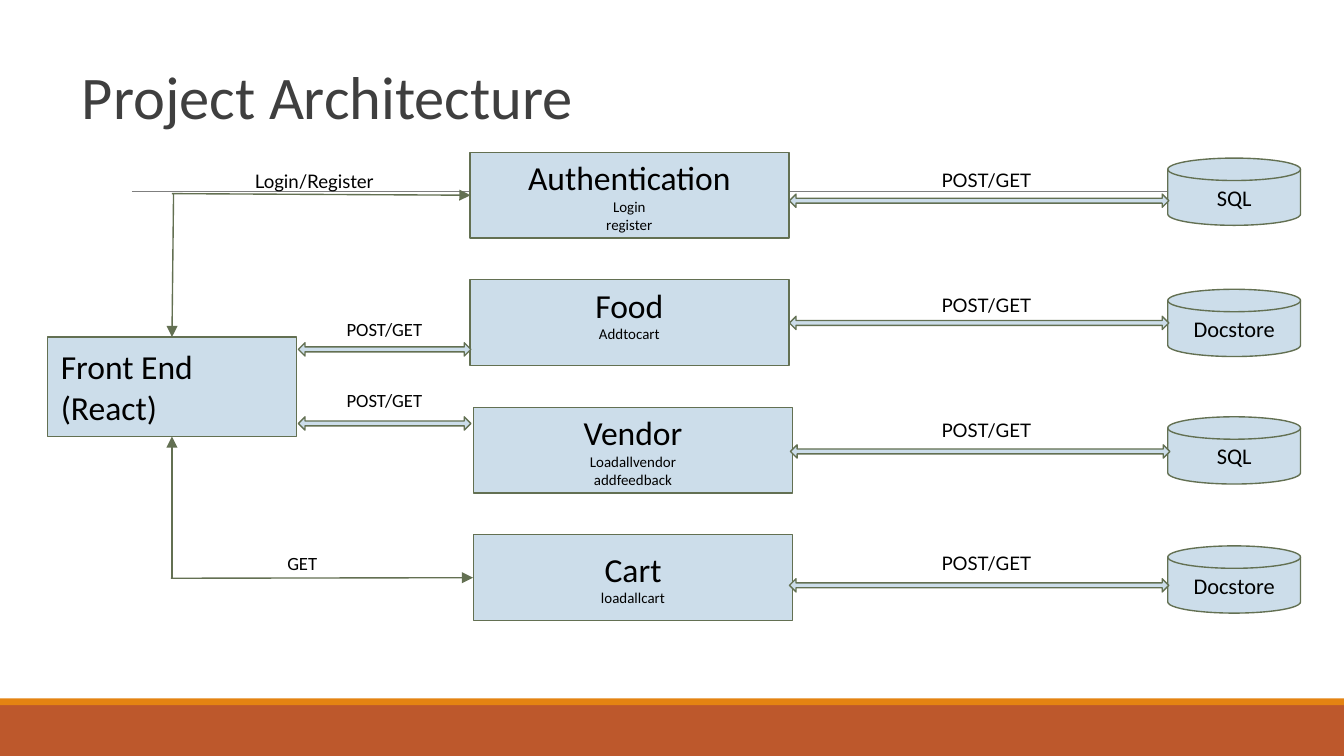
from typing import NamedTuple

from lxml import etree
from pptx import Presentation
from pptx.dml.color import RGBColor
from pptx.enum import shapes, text
from pptx.oxml import ns
from pptx.util import Cm, Pt

BLACK = RGBColor(0x00, 0x00, 0x00)
TITLE_GREY = RGBColor(0x3F, 0x3F, 0x3F)
RULE_GREY = RGBColor(0x7F, 0x7F, 0x7F)
PALE_BLUE = RGBColor(0xCC, 0xDD, 0xEA)
OLIVE = RGBColor(0x63, 0x70, 0x52)
RUST = RGBColor(0xBD, 0x58, 0x2C)
ORANGE = RGBColor(0xE4, 0x83, 0x12)

SHAPE = shapes.MSO_SHAPE
LEFT, CENTER = text.PP_ALIGN.LEFT, text.PP_ALIGN.CENTER
TOP, MIDDLE = text.MSO_ANCHOR.TOP, text.MSO_ANCHOR.MIDDLE
INSET = 0.25


class Box(NamedTuple):
    left: float
    top: float
    width: float
    height: float


class Line(NamedTuple):
    words: str
    size: float


class Service(NamedTuple):
    name: str
    calls: list[str]
    left: float
    database: str
    database_top: float
    arrow_left: float
    arrow_top: float
    label_top: float
    bottom_inset: float = 0


class Label(NamedTuple):
    words: str
    box: Box
    font: str
    align: text.PP_ALIGN = CENTER


class Link(NamedTuple):
    x1: float
    y1: float
    x2: float
    y2: float


SERVICES = [
    Service("Authentication", ["Login", "register"], 8.88, "SQL", 2.99, 14.92, 3.67, 2.97),
    Service("Food", ["Addtocart"], 8.88, "Docstore", 5.47, 14.92, 5.98, 5.34, 0.34),
    Service("Vendor", ["Loadallvendor", "addfeedback"], 8.95, "SQL", 7.88, 14.94, 8.41, 7.7),
    Service("Cart", ["loadallcart"], 8.95, "Docstore", 10.32, 14.92, 10.94, 10.21),
]
SERVICE_TOP, SERVICE_PITCH = 2.88, 2.41

LINKS = [
    Link(3.25, 3.66, 8.89, 3.69),
    Link(3.25, 10.92, 3.25, 8.25),
    Link(3.28, 3.66, 3.25, 6.37),
    Link(3.23, 10.93, 8.94, 10.92),
]

FRONT_LABELS = [
    Label("Login/Register", Box(2.51, 3, 6.86, 0.94), "Lato"),
    Label("POST/GET", Box(5.64, 5.79, 3.25, 0.94), "Calibri"),
    Label("POST/GET", Box(5.64, 7.14, 3.25, 0.94), "Calibri"),
    Label("GET", Box(5.18, 10.21, 1.52, 0.94), "Calibri", LEFT),
]


def write(tf, lines: list[Line], font: str = "Calibri", color: RGBColor = BLACK,
          align: text.PP_ALIGN = CENTER, anchor: text.MSO_ANCHOR = MIDDLE,
          top: float = INSET, bottom: float = INSET) -> None:
    """Fill a text frame with one paragraph per line."""
    tf.word_wrap = True
    tf.vertical_anchor = anchor
    tf.margin_left = tf.margin_right = Cm(INSET)
    tf.margin_top, tf.margin_bottom = Cm(top), Cm(bottom)
    for i, line in enumerate(lines):
        p = tf.add_paragraph() if i else tf.paragraphs[0]
        p.text = line.words
        p.alignment = align
        p.font.name, p.font.size = font, Pt(line.size)
        p.font.color.rgb = color


def add_shape(s, kind: SHAPE, box: Box, fill: RGBColor = PALE_BLUE,
              outline: RGBColor | None = OLIVE):
    sp = s.shapes.add_shape(kind, *map(Cm, box))
    sp.shadow.inherit = False
    sp.fill.solid()
    sp.fill.fore_color.rgb = fill
    if outline is None:
        sp.line.fill.background()
    else:
        sp.line.color.rgb = outline
        sp.line.width = Pt(0.75)
    return sp


def add_double_arrow(s, left: float, top: float, width: float) -> None:
    sp = add_shape(s, SHAPE.LEFT_RIGHT_ARROW, Box(left, top, width, 0.25))
    sp.adjustments[0], sp.adjustments[1] = 0.37, 0.5


def add_line(s, link: Link, color: RGBColor, arrow: bool = False) -> None:
    line = s.shapes.add_connector(shapes.MSO_CONNECTOR.STRAIGHT, *map(Cm, link))
    line.line.color.rgb = color
    line.line.width = Pt(0.75)
    if arrow:
        etree.SubElement(line.line._get_or_add_ln(), ns.qn("a:tailEnd"), type="triangle")
    etree.SubElement(line._element.spPr, ns.qn("a:effectLst"))


def add_label(s, label: Label) -> None:
    tf = s.shapes.add_textbox(*map(Cm, label.box)).text_frame
    write(tf, [Line(label.words, 10)], label.font, align=label.align, anchor=TOP)


def add_service(s, service: Service, top: float) -> None:
    """Draw a service with its database and the arrow between them."""
    sp = add_shape(s, SHAPE.RECTANGLE, Box(service.left, top, 6.03, 1.62))
    lines = [Line(service.name, 18)] + [Line(call, 8) for call in service.calls]
    write(sp.text_frame, lines, top=0, bottom=service.bottom_inset)

    disk = Box(22.07, service.database_top, 2.51, 1.27)
    sp = add_shape(s, SHAPE.FLOWCHART_MAGNETIC_DISK, disk)
    write(sp.text_frame, [Line(service.database, 12)])

    add_double_arrow(s, service.arrow_left, service.arrow_top, 7.17)
    add_label(s, Label("POST/GET", Box(15.21, service.label_top, 6.86, 0.94), "Lato"))


def main() -> None:
    prs = Presentation()
    prs.slide_width, prs.slide_height = Cm(25.4), Cm(14.29)
    s = prs.slides.add_slide(prs.slide_layouts[6])

    add_shape(s, SHAPE.RECTANGLE, Box(0, 13.33, 25.4, 0.96), RUST, None)
    add_shape(s, SHAPE.RECTANGLE, Box(0, 13.2, 25.4, 0.13), ORANGE, None)
    add_line(s, Link(2.49, 3.62, 23.24, 3.62), RULE_GREY)

    tf = s.shapes.add_textbox(Cm(1.3), Cm(1.07), Cm(21.36), Cm(1.5)).text_frame
    write(tf, [Line("Project Architecture", 32.4)], color=TITLE_GREY, align=LEFT, anchor=TOP)
    tf.paragraphs[0].line_spacing = 0.85

    sp = add_shape(s, SHAPE.RECTANGLE, Box(0.9, 6.37, 4.7, 1.88))
    write(sp.text_frame, [Line("Front End (React)", 18)], align=LEFT)

    for i, service in enumerate(SERVICES):
        add_service(s, service, SERVICE_TOP + i * SERVICE_PITCH)
    for link in LINKS:
        add_line(s, link, OLIVE, arrow=True)
    for top in (6.48, 7.88):
        add_double_arrow(s, 5.64, top, 3.26)
    for label in FRONT_LABELS:
        add_label(s, label)

    prs.save("out.pptx")


if __name__ == "__main__":
    main()
